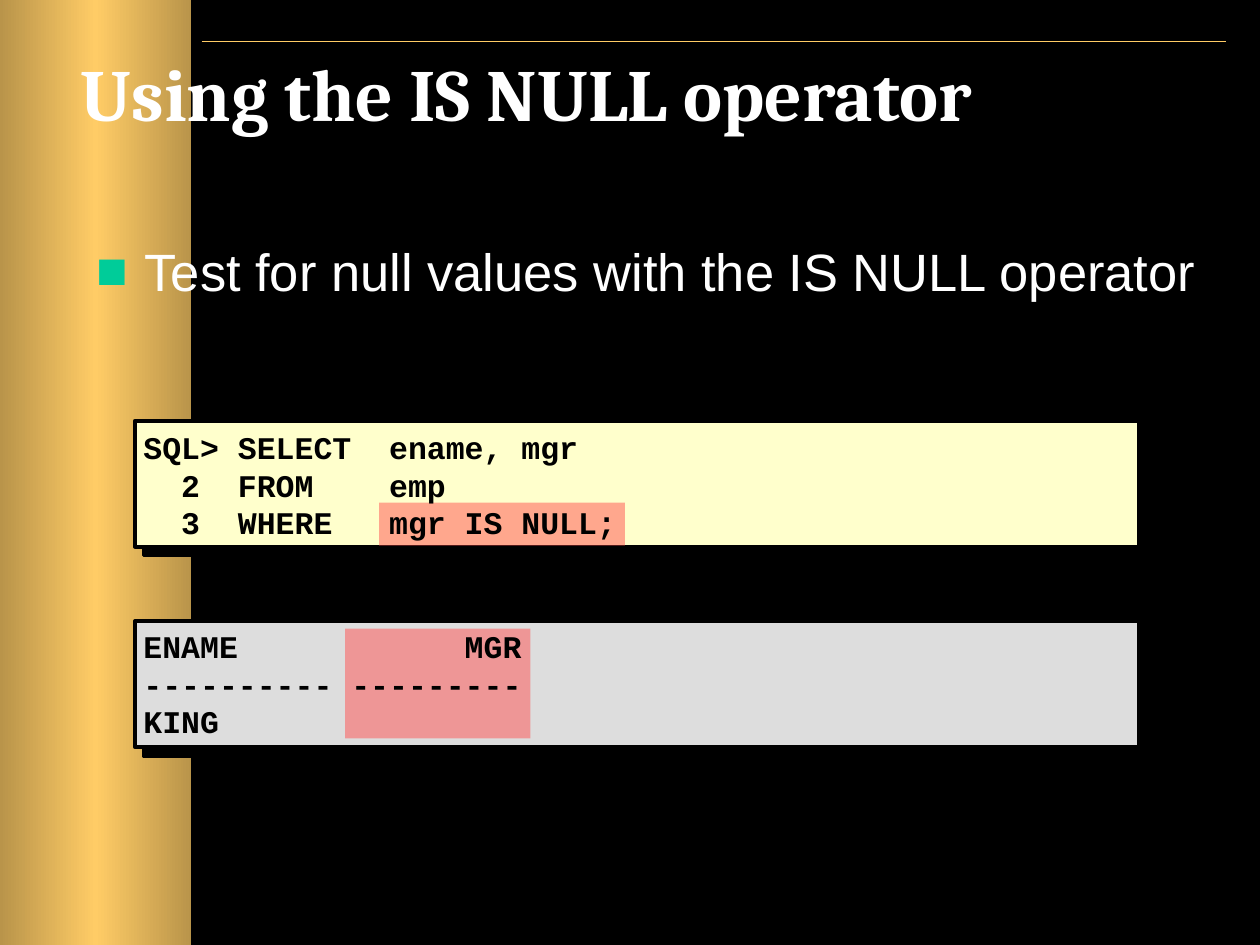
from copy import deepcopy
from dataclasses import dataclass

from lxml.etree import SubElement
from pptx import Presentation
from pptx.dml.color import RGBColor
from pptx.enum.shapes import MSO_CONNECTOR, MSO_SHAPE
from pptx.enum.text import MSO_ANCHOR
from pptx.oxml.ns import qn
from pptx.util import Inches, Pt

COLORS = {
    "black": "000000",
    "white": "FFFFFF",
    "gold": "FFCC66",
    "dark_gold": "B9944A",
    "query": "FFFFCC",
    "result": "DDDDDD",
    "highlight": "FF5050",
    "bullet": "00CC99",
}


@dataclass(frozen=True)
class Box:
    left: float
    top: float
    width: float
    height: float

    def lengths(self):
        return [Inches(v) for v in (self.left, self.top, self.width, self.height)]


@dataclass(frozen=True)
class CodePanel:
    frame: Box
    text_area: Box
    highlight: Box
    color: str
    lines: tuple[str, ...]


def rgb(name: str) -> RGBColor:
    return RGBColor.from_string(COLORS[name])


def add_color(parent, name: str):
    return SubElement(parent, qn("a:srgbClr"), val=COLORS[name])


def add_rect(slide, box: Box, color: str, outline: float = 0):
    rect = slide.shapes.add_shape(MSO_SHAPE.RECTANGLE, *box.lengths())
    rect.shadow.inherit = False
    rect.fill.solid()
    rect.fill.fore_color.rgb = rgb(color)
    if outline:
        rect.line.color.rgb = rgb("black")
        rect.line.width = Pt(outline)
    else:
        rect.line.fill.background()
    return rect


def add_hard_shadow(rect) -> None:
    effects = rect._element.spPr.find(qn("a:effectLst"))
    shadow = SubElement(effects, qn("a:outerShdw"), blurRad="0",
                        dist=str(Pt(7.1)), dir=str(45 * 60000),
                        algn="ctr", rotWithShape="0")
    add_color(shadow, "black")


def add_highlight(slide, box: Box) -> None:
    rect = add_rect(slide, box, "highlight")
    color = rect._element.spPr.find(qn("a:solidFill")).find(qn("a:srgbClr"))
    SubElement(color, qn("a:alpha"), val="50000")


def add_text(slide, box: Box, *lines: str, font: str, size: float, color: str,
             bold: bool = False, anchor=MSO_ANCHOR.TOP, bullet: str = "") -> None:
    frame = slide.shapes.add_textbox(*box.lengths()).text_frame
    frame.word_wrap = True
    frame.vertical_anchor = anchor
    for number, line in enumerate(lines):
        paragraph = frame.add_paragraph() if number else frame.paragraphs[0]
        run = paragraph.add_run()
        run.text = line
        run.font.name = font
        run.font.size = Pt(size)
        run.font.bold = bold
        run.font.color.rgb = rgb(color)
        if bullet:
            props = paragraph._p.get_or_add_pPr()
            props.set("marL", str(Inches(0.38)))
            props.set("indent", str(Inches(-0.38)))
            add_color(SubElement(props, qn("a:buClr")), "bullet")
            SubElement(props, qn("a:buFont"), typeface=font)
            SubElement(props, qn("a:buChar"), char=bullet)


def add_side_band(slide) -> None:
    band = add_rect(slide, Box(0, 0, 1.52, 7.5), "gold")
    band.fill.gradient()
    band.fill.gradient_angle = 0
    stops = band._element.spPr.find(qn("a:gradFill")).find(qn("a:gsLst"))
    stops.append(deepcopy(stops[0]))
    for stop, position, name in zip(stops, (0, 50, 100),
                                    ("dark_gold", "gold", "dark_gold")):
        stop.set("pos", str(position * 1000))
        for old_color in list(stop):
            stop.remove(old_color)
        add_color(stop, name)


def add_top_rule(slide) -> None:
    rule = slide.shapes.add_connector(MSO_CONNECTOR.STRAIGHT, Inches(1.6),
                                      Inches(0.33), Inches(9.73), Inches(0.33))
    rule.line.color.rgb = rgb("gold")
    rule.line.width = Pt(1)
    SubElement(rule._element.spPr, qn("a:effectLst"))


PANELS = (
    CodePanel(Box(1.07, 3.34, 7.97, 1), Box(1.04, 3.33, 8, 1.03),
              Box(3.01, 3.99, 1.95, 0.34), "query",
              ("SQL> SELECT  ename, mgr",
               "  2  FROM    emp",
               "  3  WHERE   mgr IS NULL;")),
    CodePanel(Box(1.07, 4.93, 7.97, 1), Box(1.04, 4.91, 8, 1.03),
              Box(2.74, 4.99, 1.47, 0.87), "result",
              ("ENAME            MGR",
               "---------- ---------",
               "KING")),
)


def main() -> None:
    deck = Presentation()
    deck.slide_width, deck.slide_height = Inches(10), Inches(7.5)
    slide = deck.slides.add_slide(deck.slide_layouts[6])
    slide.background.fill.solid()
    slide.background.fill.fore_color.rgb = rgb("black")

    # Background decoration
    add_top_rule(slide)
    add_side_band(slide)

    # Query and its result
    for panel in PANELS:
        add_hard_shadow(add_rect(slide, panel.frame, panel.color, outline=2))
        add_highlight(slide, panel.highlight)
        add_text(slide, panel.text_area, *panel.lines, font="Courier New",
                 size=18, color="black", bold=True, anchor=MSO_ANCHOR.MIDDLE)

    # Bullet and title
    add_text(slide, Box(0.67, 1.85, 9, 1.1),
             "Test for null values with the IS NULL operator",
             font="Arial", size=30, color="white", bullet="■")
    add_text(slide, Box(0.54, 0.33, 9, 1.25), "Using the IS NULL operator",
             font="Cambria", size=42, color="white", bold=True)

    deck.save("out.pptx")


if __name__ == "__main__":
    main()
